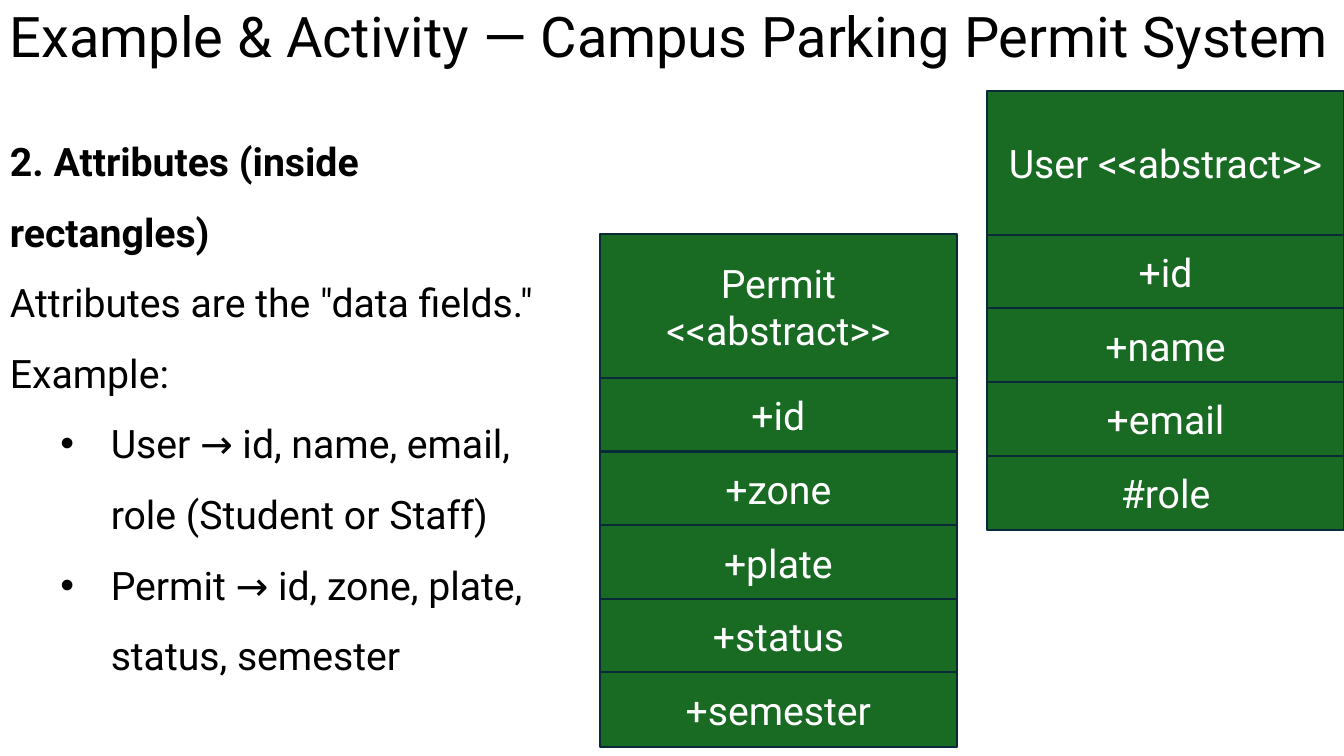
from lxml.etree import SubElement
from pptx import Presentation
from pptx.dml.color import RGBColor
from pptx.enum.shapes import MSO_SHAPE as Shape
from pptx.enum.text import MSO_ANCHOR as Anchor, MSO_AUTO_SIZE as AutoSize, PP_ALIGN as Align
from pptx.oxml.ns import qn
from pptx.util import Inches, Pt

COLORS = {"text": "000000", "fill": "196B24", "line": "092A39", "label": "FFFFFF"}
FONT = "Roboto"
BODY_SIZE = 28
TITLE_SIZE = 40
BOX_WIDTH = 3.54
HEADER_HEIGHT = 1.43
ROW_HEIGHT = 0.74
ROW_STEP = 0.73


class ClassSlide:
    def __init__(self, deck):
        self.page = deck.slides.add_slide(deck.slide_layouts[6])

    def style(self, para, color, size=BODY_SIZE, bold=False):
        para.font.name = FONT
        para.font.size = Pt(size)
        para.font.bold = bold
        para.font.color.rgb = RGBColor.from_string(COLORS[color])

    def text_frame(self, left, top, width, height):
        box = self.page.shapes.add_textbox(
            Inches(left), Inches(top), Inches(width), Inches(height))
        box.text_frame.word_wrap = True
        return box.text_frame

    def title(self, text):
        frame = self.text_frame(0, 0, 13.33, 0.74)
        frame.vertical_anchor = Anchor.BOTTOM
        para = frame.paragraphs[0]
        para.text = text
        para.line_spacing = 0.9
        self.style(para, "text", TITLE_SIZE)

    def bullet(self, para):
        para.level = 1
        props = para._p.get_or_add_pPr()
        props.set("marL", str(Inches(1)))
        props.set("indent", str(Inches(-0.5)))
        SubElement(props, qn("a:buFont")).set("typeface", "Arial")
        SubElement(props, qn("a:buChar")).set("char", "•")

    def explanation(self, heading, intro, items):
        frame = self.text_frame(0, 1.08, 5.61, 4.98)
        frame.auto_size = AutoSize.SHAPE_TO_FIT_TEXT
        for index, text in enumerate([heading, intro, *items]):
            para = frame.add_paragraph() if index else frame.paragraphs[0]
            para.text = text
            para.line_spacing = 1.5
            if text in items:
                self.bullet(para)
            self.style(para, "text", bold=index == 0)

    def cell(self, text, left, top, height):
        box = self.page.shapes.add_shape(
            Shape.RECTANGLE, Inches(left), Inches(top), Inches(BOX_WIDTH), Inches(height))
        box.shadow.inherit = False
        box.fill.solid()
        box.fill.fore_color.rgb = RGBColor.from_string(COLORS["fill"])
        box.line.color.rgb = RGBColor.from_string(COLORS["line"])
        box.line.width = Pt(1.5)
        frame = box.text_frame
        frame.word_wrap = True
        frame.vertical_anchor = Anchor.MIDDLE
        para = frame.paragraphs[0]
        para.text = text
        para.alignment = Align.CENTER
        self.style(para, "label")

    def class_box(self, name, attributes, left, top):
        self.cell(name, left, top, HEADER_HEIGHT)
        for row, attribute in enumerate(attributes):
            self.cell(attribute, left, top + HEADER_HEIGHT + row * ROW_STEP, ROW_HEIGHT)


def main():
    deck = Presentation()
    deck.slide_width = Inches(13.33)
    deck.slide_height = Inches(7.5)
    slide = ClassSlide(deck)

    # Explanation on the left
    slide.explanation(
        "2. Attributes (inside rectangles)",
        'Attributes are the "data fields."\nExample:',
        ["User → id, name, email, role (Student or Staff)",
         "Permit → id, zone, plate, status, semester"])

    # Class diagrams
    slide.class_box("Permit <<abstract>>",
                    ["+id", "+zone", "+plate", "+status", "+semester"], 5.95, 2.32)
    slide.class_box("User <<abstract>>",
                    ["+id", "+name", "+email", "#role"], 9.79, 0.9)

    # Title
    slide.title("Example & Activity — Campus Parking Permit System")

    deck.save("out.pptx")


if __name__ == "__main__":
    main()
